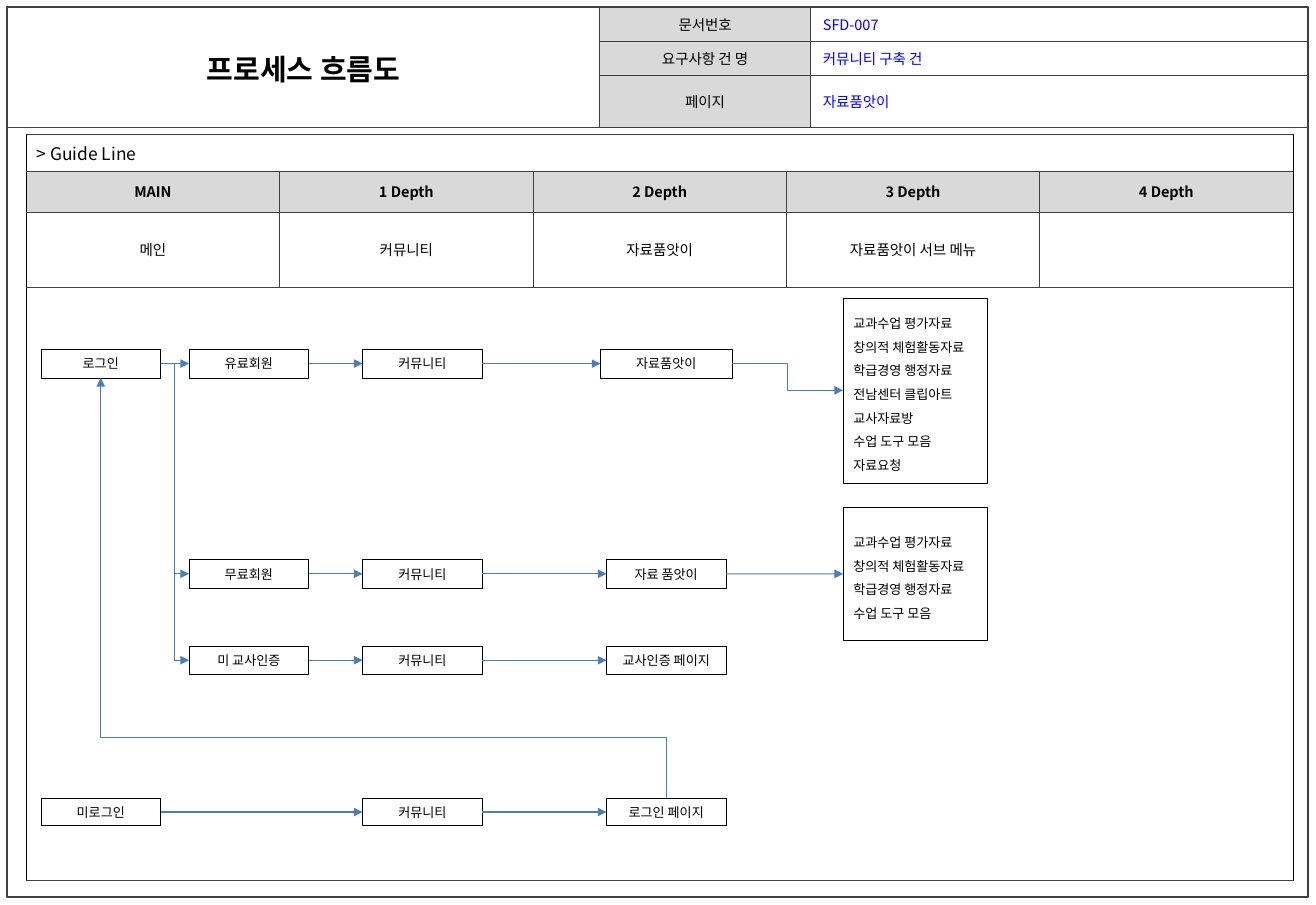
import dataclasses

import lxml.etree
import pptx
import pptx.dml.color
import pptx.enum.shapes
import pptx.enum.text
import pptx.oxml.ns
import pptx.util

Cm, Pt = pptx.util.Cm, pptx.util.Pt
qn = pptx.oxml.ns.qn
Align = pptx.enum.text.PP_ALIGN
Connector = pptx.enum.shapes.MSO_CONNECTOR

TITLE = "프로세스 흐름도"
DOCUMENT = [
    ("문서번호", "SFD-007"),
    ("요구사항 건 명", "커뮤니티 구축 건"),
    ("페이지", "자료품앗이"),
]
GUIDE = "> Guide Line"
DEPTHS = [
    ("MAIN", "메인"),
    ("1 Depth", "커뮤니티"),
    ("2 Depth", "자료품앗이"),
    ("3 Depth", "자료품앗이 서브 메뉴"),
    ("4 Depth", ""),
]
FLOWS = {
    "paid": ["로그인", "유료회원", "커뮤니티", "자료품앗이"],
    "free": [None, "무료회원", "커뮤니티", "자료 품앗이"],
    "unverified": [None, "미 교사인증", "커뮤니티", "교사인증 페이지"],
    "guest": ["미로그인", None, "커뮤니티", "로그인 페이지"],
}
MENUS = {
    "paid": ["교과수업 평가자료", "창의적 체험활동자료", "학급경영 행정자료", "전남센터 클립아트",
             "교사자료방", "수업 도구 모음", "자료요청"],
    "free": ["교과수업 평가자료", "창의적 체험활동자료", "학급경영 행정자료", "수업 도구 모음"],
}

FRAME = (0.18, 0.18, 31.62, 21.62)
DOCUMENT_COLUMNS, DOCUMENT_ROWS = [14.4, 5.13, 12.09], [0.82, 0.82, 1.26]
GUIDE_LEFT, GUIDE_TOP = 0.64, 3.26
GUIDE_COLUMNS, GUIDE_ROWS = [6.16] * len(DEPTHS), [0.9, 1, 1.82, 14.42]
STEP_CENTERS = [2.45, 6.05, 10.27, 16.2]
STEP_WIDTH = 2.91
WIDE_STEPS = {("paid", 3): 3.2}
FLOW_ROWS = {"paid": (8.84, 0.7), "free": (13.95, 0.7), "unverified": (16.05, 0.7), "guest": (19.74, 0.66)}
MENU_LEFT, MENU_WIDTH = 20.5, 3.51
MENU_ROWS = {"paid": (9.49, 4.5), "free": (13.95, 3.23)}
TOP, LEFT, BOTTOM, RIGHT = range(4)


@dataclasses.dataclass(frozen=True)
class Theme:
    font: str = "Noto Sans CJK KR"
    ink: str = "000000"
    value: str = "0000FF"
    white: str = "FFFFFF"
    header: str = "D9D9D9"
    border: str = "404040"
    arrow: str = "4A7EBB"
    title: float = 20
    guide: float = 12
    cell: float = 10
    step: float = 9
    menu_pitch: float = 16.3


theme = Theme()


def rgb(value):
    return pptx.dml.color.RGBColor.from_string(value)


def write(frame, text, size=theme.cell, color=theme.ink, bold=False, align=Align.CENTER, pitch=None):
    for index, line in enumerate(text.split("\n")):
        paragraph = frame.add_paragraph() if index else frame.paragraphs[0]
        paragraph.alignment = align
        if pitch:
            paragraph.line_spacing = Pt(pitch)
        run = paragraph.add_run()
        run.text = line
        run.font.size, run.font.bold = Pt(size), bold
        run.font.color.rgb = rgb(color)
        run.font.name = theme.font
        lxml.etree.SubElement(run._r.get_or_add_rPr(), qn("a:ea"), typeface=theme.font)


def add_grid(slide, left, top, columns, rows):
    table = slide.shapes.add_table(len(rows), len(columns), Cm(left), Cm(top),
                                   Cm(sum(columns)), Cm(sum(rows))).table
    table.first_row = table.horz_banding = False
    for column, width in zip(table.columns, columns):
        column.width = Cm(width)
    for row, height in zip(table.rows, rows):
        row.height = Cm(height)
    return table


def dress(cell, fill=theme.white, edges=None, **text_format):
    cell.vertical_anchor = pptx.enum.text.MSO_ANCHOR.MIDDLE
    cell.fill.solid()
    cell.fill.fore_color.rgb = rgb(fill)
    properties = cell._tc.get_or_add_tcPr()
    for index, side in enumerate("LRTB"):
        color, width = (edges or {}).get(side, (theme.border, 0.45))
        line = lxml.etree.Element(qn(f"a:ln{side}"), w=str(Pt(width)))
        solid = lxml.etree.SubElement(line, qn("a:solidFill"))
        lxml.etree.SubElement(solid, qn("a:srgbClr"), val=color)
        properties.insert(index, line)
    if text_format.get("text"):
        write(cell.text_frame, **text_format)


def add_document(slide):
    table = add_grid(slide, *FRAME[:2], DOCUMENT_COLUMNS, DOCUMENT_ROWS)
    heavy = (theme.border, 0.75)
    table.cell(0, 0).merge(table.cell(2, 0))
    for row, (label, value) in enumerate(DOCUMENT):
        edges = {side: heavy for side, at in (("T", 0), ("B", 2)) if row == at}
        dress(table.cell(row, 0), edges={"L": heavy, "T": heavy, "B": heavy},
              text="" if row else TITLE, size=theme.title, bold=True)
        dress(table.cell(row, 1), theme.header, edges, text=label)
        answer = table.cell(row, 2)
        dress(answer, edges={**edges, "R": heavy}, text=value, color=theme.value, align=Align.LEFT)
        answer.margin_left = Cm(0.3)


def add_guide(slide):
    table = add_grid(slide, GUIDE_LEFT, GUIDE_TOP, GUIDE_COLUMNS, GUIDE_ROWS)
    last = len(DEPTHS) - 1
    for row in (0, 3):
        table.cell(row, 0).merge(table.cell(row, last))
    outer = (theme.ink, 0.45)
    for column, (depth, page) in enumerate(DEPTHS):
        edges = {side: outer for side, at in (("L", 0), ("R", last)) if column == at}
        wide = {"L": outer, "R": outer}
        dress(table.cell(0, column), edges=wide, text="" if column else GUIDE,
              size=theme.guide, align=Align.LEFT)
        dress(table.cell(1, column), theme.header, edges, text=depth, bold=True)
        dress(table.cell(2, column), edges=edges, text=page)
        dress(table.cell(3, column), edges=wide)


def add_box(slide, left, top, width, height, border=theme.ink, line_width=0.11, fill=theme.white):
    box = slide.shapes.add_shape(pptx.enum.shapes.MSO_SHAPE.RECTANGLE,
                                 Cm(left), Cm(top), Cm(width), Cm(height))
    box.shadow.inherit = False
    box.fill.solid()
    box.fill.fore_color.rgb = rgb(fill)
    box.line.color.rgb = rgb(border)
    box.line.width = Pt(line_width)
    box.text_frame.word_wrap = True
    box.text_frame.vertical_anchor = pptx.enum.text.MSO_ANCHOR.MIDDLE
    return box


def link(slide, source, target, kind=Connector.STRAIGHT, leave=RIGHT, enter=LEFT):
    arrow = slide.shapes.add_connector(kind, 0, 0, 0, 0)
    arrow.begin_connect(source, leave)
    arrow.end_connect(target, enter)
    arrow.line.color.rgb = rgb(theme.arrow)
    arrow.line.width = Pt(0.75)
    lxml.etree.SubElement(arrow.line._get_or_add_ln(), qn("a:tailEnd"), type="triangle")
    lxml.etree.SubElement(arrow._element.spPr, qn("a:effectLst"))
    return arrow


def turn_upward(arrow, bend):
    width, height = arrow.width, arrow.height
    arrow.left += (width - height) // 2
    arrow.top += (height - width) // 2
    arrow.width, arrow.height = height, width
    transform = arrow._element.spPr.find(qn("a:xfrm"))
    transform.attrib.pop("flipH", None)
    transform.set("rot", str(270 * 60000))
    transform.set("flipV", "1")
    adjustments = arrow._element.spPr.find(qn("a:prstGeom")).find(qn("a:avLst"))
    lxml.etree.SubElement(adjustments, qn("a:gd"), name="adj1", fmla=f"val {round(bend * 100000)}")


def add_flows(slide):
    steps = {}
    for flow, labels in FLOWS.items():
        middle, height = FLOW_ROWS[flow]
        previous = None
        for column, label in enumerate(labels):
            if label is None:
                continue
            width = WIDE_STEPS.get((flow, column), STEP_WIDTH)
            box = add_box(slide, STEP_CENTERS[column] - width / 2, middle - height / 2, width, height)
            write(box.text_frame, label, size=theme.step)
            steps[flow, column] = box
            if previous:
                link(slide, previous, box)
            previous = box
    login = steps["paid", 0]
    for flow in ("free", "unverified"):
        link(slide, login, steps[flow, 1], Connector.ELBOW)
    turn_upward(link(slide, steps["guest", 3], login, Connector.ELBOW, TOP, BOTTOM), 0.145)
    for flow, entries in MENUS.items():
        middle, height = MENU_ROWS[flow]
        menu = add_box(slide, MENU_LEFT, middle - height / 2, MENU_WIDTH, height, line_width=0.25)
        write(menu.text_frame, "\n".join(entries), size=theme.step, align=Align.LEFT, pitch=theme.menu_pitch)
        level = middle == FLOW_ROWS[flow][0]
        link(slide, steps[flow, 3], menu, Connector.STRAIGHT if level else Connector.ELBOW)


def main():
    deck = pptx.Presentation()
    deck.slide_width, deck.slide_height = Cm(32), Cm(22)
    slide = deck.slides.add_slide(deck.slide_layouts[6])
    add_box(slide, *FRAME, border=theme.border, line_width=1.5)
    add_document(slide)
    add_guide(slide)
    add_flows(slide)
    deck.save("out.pptx")


if __name__ == "__main__":
    main()
